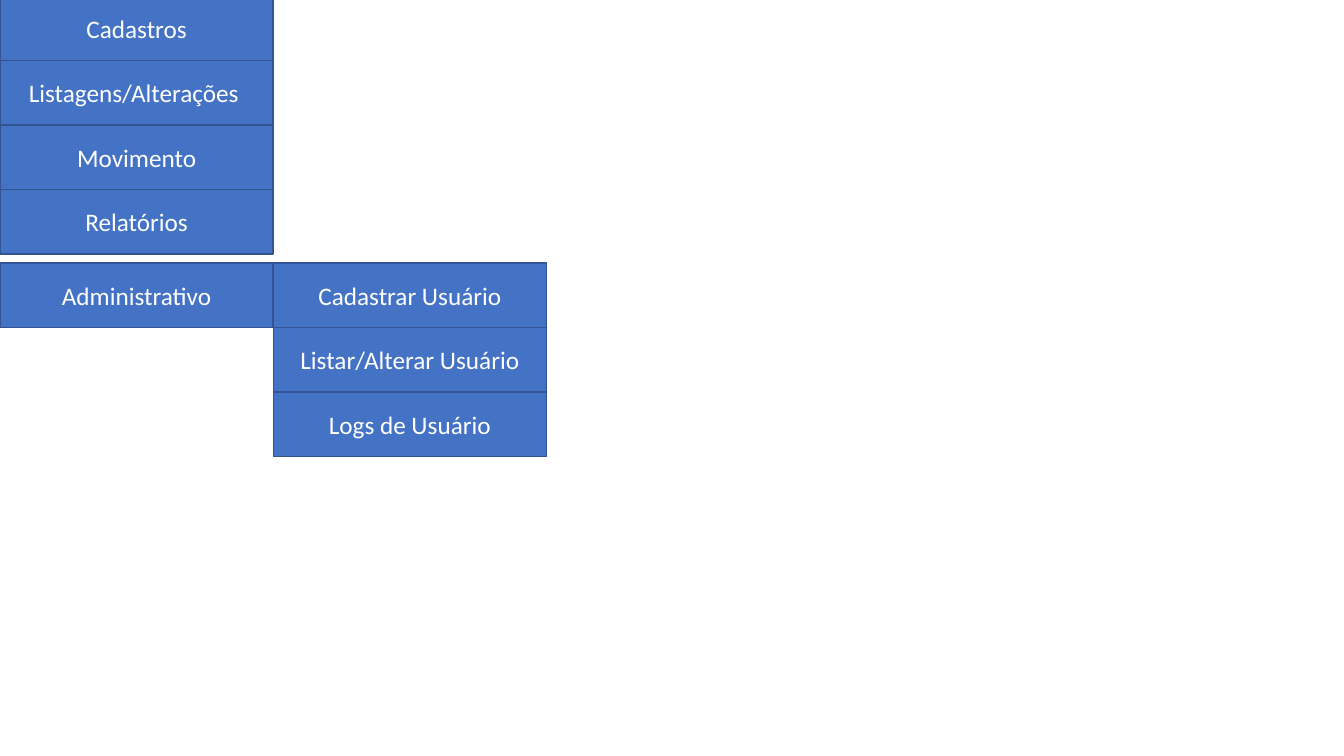
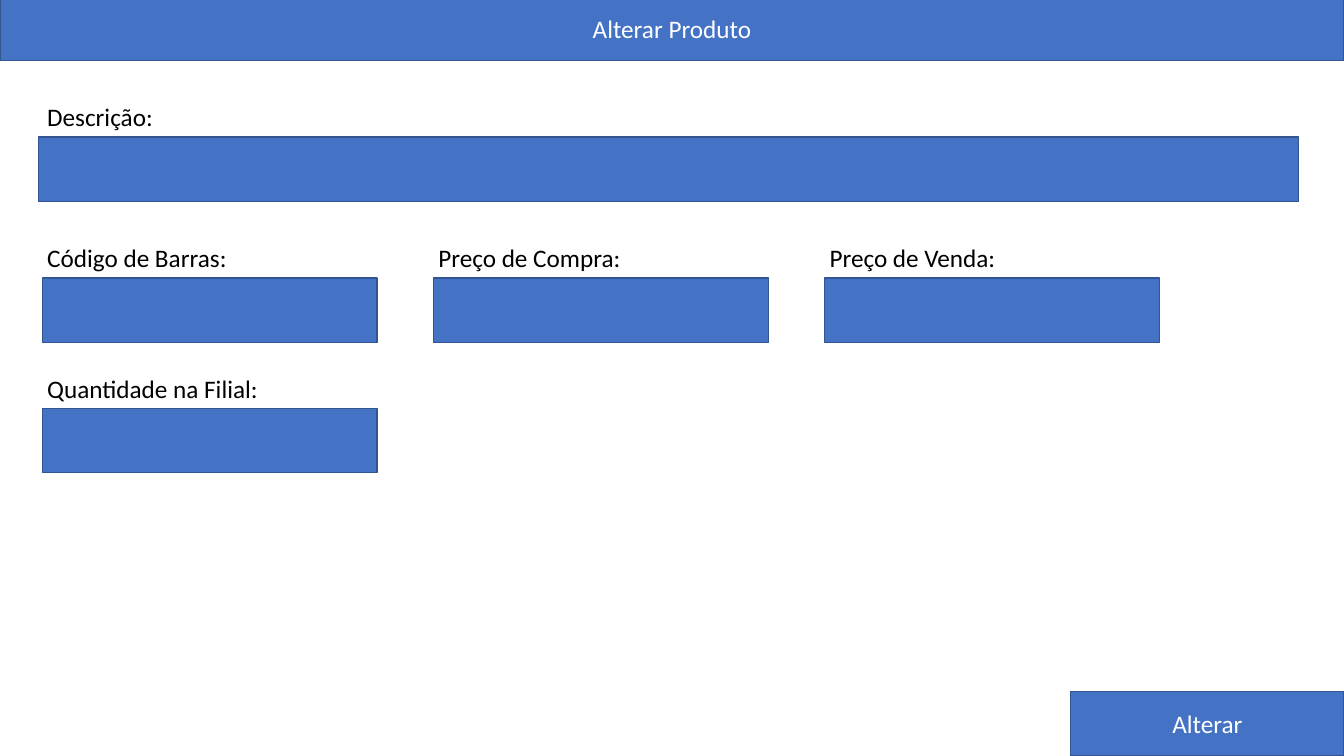
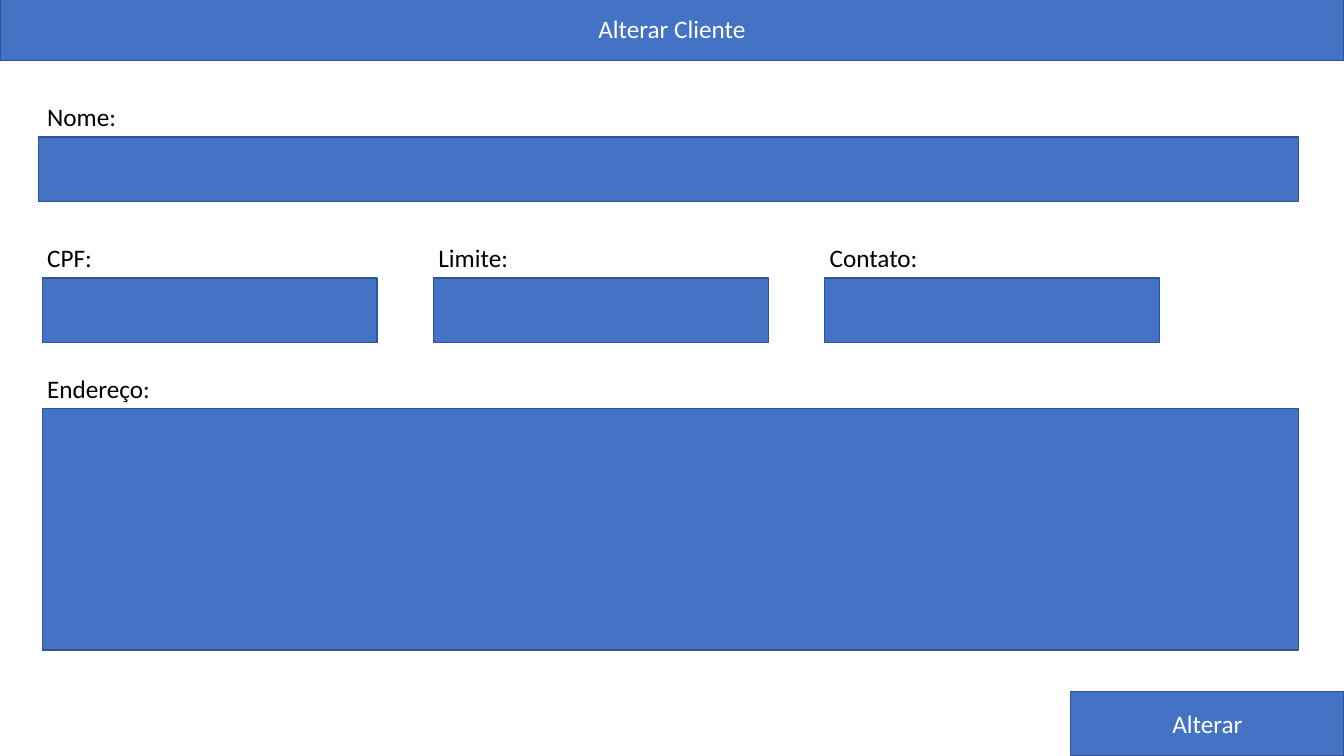
"""Build the menu and the two edit-form wireframes."""
import dataclasses

import pptx
import pptx.dml.color
import pptx.enum.shapes
import pptx.enum.text
import pptx.util

Inches = pptx.util.Inches


@dataclasses.dataclass(frozen=True)
class Theme:
    font: str = "Calibri"
    text_size: int = 18
    line_width: int = 1
    fill: str = "4472C4"
    line: str = "325491"
    light_text: str = "FFFFFF"
    dark_text: str = "000000"


SLIDE_WIDTH, SLIDE_HEIGHT = 13.33, 7.5
BUTTON_WIDTH, BAR_HEIGHT = 2.71, 0.64
BAR_TOP = -0.04
LABEL_LEFT, LABEL_WIDTH, LABEL_HEIGHT = 0.37, 2.37, 0.4
FIELD_INSET, FIELD_WIDTH, COLUMN_STEP = 0.05, 3.32, 3.88


class Wireframe:
    def __init__(self, theme):
        self.theme = theme
        self.deck = pptx.Presentation()
        self.deck.slide_width = Inches(SLIDE_WIDTH)
        self.deck.slide_height = Inches(SLIDE_HEIGHT)
        self.page = None

    def add_page(self):
        self.page = self.deck.slides.add_slide(self.deck.slide_layouts[6])

    def color(self, value):
        return pptx.dml.color.RGBColor.from_string(value)

    def set_text(self, box, text, color, alignment):
        paragraph = box.text_frame.paragraphs[0]
        paragraph.text = text
        paragraph.alignment = alignment
        paragraph.font.name = self.theme.font
        paragraph.font.size = pptx.util.Pt(self.theme.text_size)
        paragraph.font.color.rgb = self.color(color)

    def block(self, left, top, width=BUTTON_WIDTH, height=BAR_HEIGHT, text=""):
        box = self.page.shapes.add_shape(
            pptx.enum.shapes.MSO_SHAPE.RECTANGLE,
            Inches(left), Inches(top), Inches(width), Inches(height))
        box.shadow.inherit = False
        box.fill.solid()
        box.fill.fore_color.rgb = self.color(self.theme.fill)
        box.line.color.rgb = self.color(self.theme.line)
        box.line.width = pptx.util.Pt(self.theme.line_width)
        if text:
            box.text_frame.vertical_anchor = pptx.enum.text.MSO_ANCHOR.MIDDLE
            self.set_text(box, text, self.theme.light_text, pptx.enum.text.PP_ALIGN.CENTER)

    def label(self, left, top, text):
        box = self.page.shapes.add_textbox(
            Inches(left), Inches(top), Inches(LABEL_WIDTH), Inches(LABEL_HEIGHT))
        box.text_frame.word_wrap = True
        box.text_frame.auto_size = pptx.enum.text.MSO_AUTO_SIZE.SHAPE_TO_FIT_TEXT
        self.set_text(box, text, self.theme.dark_text, pptx.enum.text.PP_ALIGN.LEFT)

    def menu(self, left, top, names):
        for index, name in enumerate(names):
            self.block(left, top + index * BAR_HEIGHT, text=name)

    def field(self, text, top, column=0, width=FIELD_WIDTH, height=BAR_HEIGHT,
              inset=FIELD_INSET):
        left = LABEL_LEFT + column * COLUMN_STEP
        self.label(left, top - LABEL_HEIGHT, text)
        self.block(left + inset, top, width, height)

    def form(self, title, first, middle, last, last_size):
        self.add_page()
        self.block(0, BAR_TOP, SLIDE_WIDTH, text=title)
        self.field(first, 1.36, width=12.5, inset=0.01)
        for column, name in enumerate(middle):
            self.field(name, 2.76, column)
        self.field(last, 4.05, width=last_size[0], height=last_size[1])
        self.block(SLIDE_WIDTH - BUTTON_WIDTH, SLIDE_HEIGHT - BAR_HEIGHT, text="Alterar")


def main():
    wireframe = Wireframe(Theme())
    wireframe.add_page()
    wireframe.menu(0, BAR_TOP, ["Cadastros", "Listagens/Alterações ", "Movimento", "Relatórios"])
    wireframe.menu(0, 2.61, ["Administrativo"])
    wireframe.menu(BUTTON_WIDTH, 2.61,
                   ["Cadastrar Usuário", "Listar/Alterar Usuário", "Logs de Usuário"])
    wireframe.form("Alterar Produto", "Descrição:",
                   ["Código de Barras:", "Preço de Compra:", "Preço de Venda:"],
                   "Quantidade na Filial:", (FIELD_WIDTH, BAR_HEIGHT))
    wireframe.form("Alterar Cliente", "Nome:", ["CPF:", "Limite:", "Contato:"],
                   "Endereço:", (12.46, 2.4))
    wireframe.deck.save("out.pptx")


if __name__ == "__main__":
    main()
